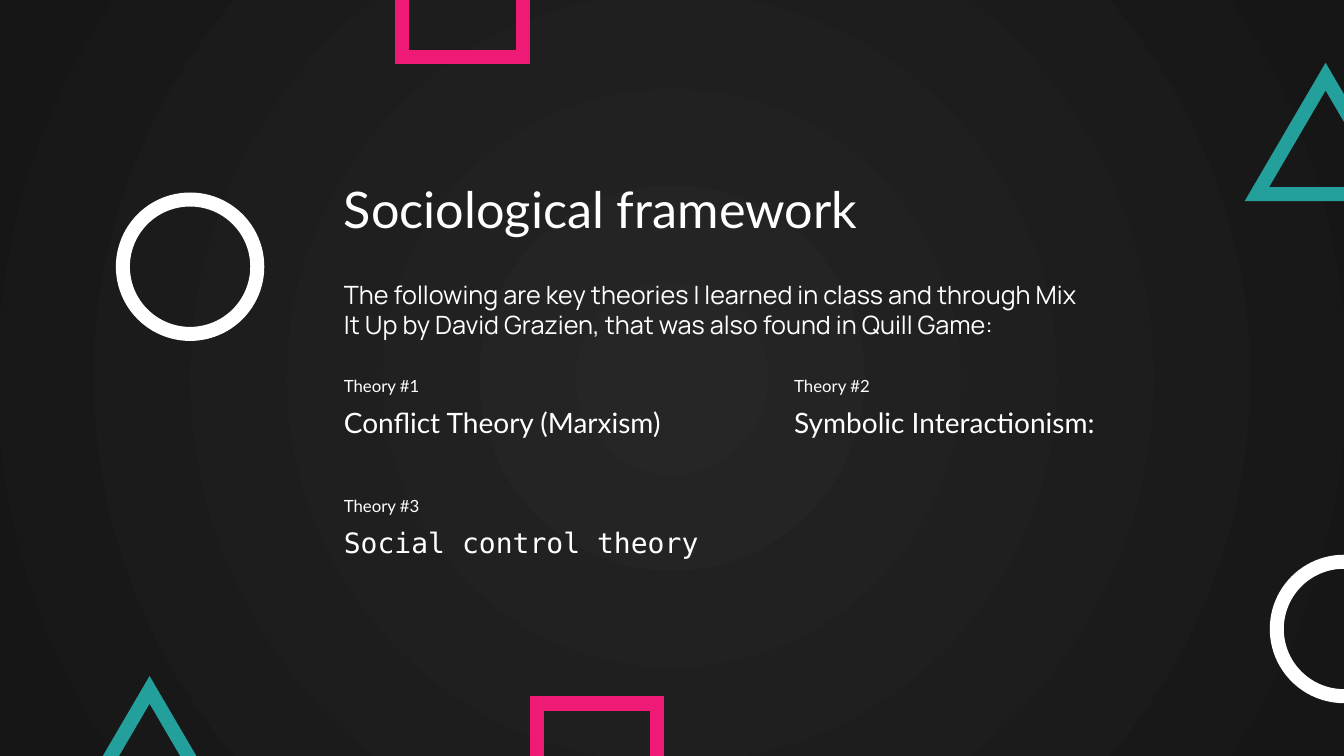
"""Build the sociological framework slide with its outlined shapes."""
from pptx import Presentation
from pptx.dml.color import RGBColor
from pptx.enum.shapes import MSO_SHAPE
from pptx.enum.text import MSO_ANCHOR, MSO_AUTO_SIZE, PP_ALIGN
from pptx.oxml import parse_xml
from pptx.oxml.ns import nsdecls, qn
from pptx.util import Emu, Pt

PX = 9525
COLORS = {"center": "262626", "edge": "161616", "white": "FFFFFF",
          "pink": "EE1A76", "teal": "239F9C"}


def place(sp, x, y, w, h):
    sp.left, sp.top, sp.width, sp.height = [Emu(v * PX) for v in (x, y, w, h)]
    tf = sp.text_frame
    tf.word_wrap = True
    tf.auto_size = MSO_AUTO_SIZE.NONE
    tf.vertical_anchor = MSO_ANCHOR.TOP
    return tf


def style(p, text, size, font, spacing, before=0):
    p.text = text
    p.alignment = PP_ALIGN.LEFT
    p.line_spacing = spacing
    p.space_before = Pt(before)
    for r in p.runs:
        r.font.size = Pt(size)
        r.font.name = font
        r.font.color.rgb = RGBColor.from_string(COLORS["white"])


prs = Presentation()
prs.slide_width, prs.slide_height = Emu(1280 * PX), Emu(720 * PX)
s = prs.slides.add_slide(prs.slide_layouts[1])

fill = s.background.fill
fill.gradient()
for stop, name in zip(fill.gradient_stops, ("center", "edge")):
    stop.color.rgb = RGBColor.from_string(COLORS[name])
lin = s.element.find(".//" + qn("a:lin"))
lin.getparent().replace(lin, parse_xml(
    f'<a:path {nsdecls("a")} path="circle">'
    '<a:fillToRect l="50000" t="50000" r="50000" b="50000"/></a:path>'))

outlines = [
    (MSO_SHAPE.OVAL, "white", 128, 128, [(1216, 535), (117, 190)]),
    (MSO_SHAPE.RECTANGLE, "pink", 115, 115, [(511, 670), (383, -61)]),
    (MSO_SHAPE.ISOSCELES_TRIANGLE, "teal", 131, 112, [(1197, 73), (77, 657)]),
]
for kind, color, w, h, spots in outlines:
    for x, y in spots:
        sp = s.shapes.add_shape(kind, *[Emu(v * PX) for v in (x, y, w, h)])
        sp.shadow.inherit = False
        sp.fill.background()
        sp.line.color.rgb = RGBColor.from_string(COLORS[color])
        sp.line.width = Pt(10)
        ln = sp.element.spPr.find(qn("a:ln"))
        ln.append(parse_xml(f'<a:miter {nsdecls("a")} lim="800000"/>'))

tf = place(s.shapes.title, 318, 176, 773, 57)
style(tf.paragraphs[0], "Sociological framework", 36, "Lato", 0.8)

tf = place(s.placeholders[1], 318, 261, 721, 68)
p = tf.paragraphs[0]
pPr = p._p.get_or_add_pPr()
pPr.set("marL", "0")
pPr.set("indent", "0")
pPr.append(parse_xml(f'<a:buNone {nsdecls("a")}/>'))
style(p, "The following are key theories I learned in class and through Mix It Up "
      "by David Grazien, that was also found in Quill Game:", 18, "Manrope", 1.0)

theories = [
    (318, 357, 354, "Conflict Theory (Marxism)", "Lato"),
    (747, 357, 322, "Symbolic Interactionism:", "Lato"),
    (318, 471, 372, "Social control theory", "DejaVu Sans Mono"),
]
for number, (x, y, w, name, font) in enumerate(theories, 1):
    tf = place(s.shapes.add_textbox(0, 0, 0, 0), x, y, w, 66)
    style(tf.paragraphs[0], f"Theory #{number}", 12, "Lato", 0.8)
    style(tf.add_paragraph(), name, 20, font, 0.8, 11.5)

prs.save("out.pptx")
